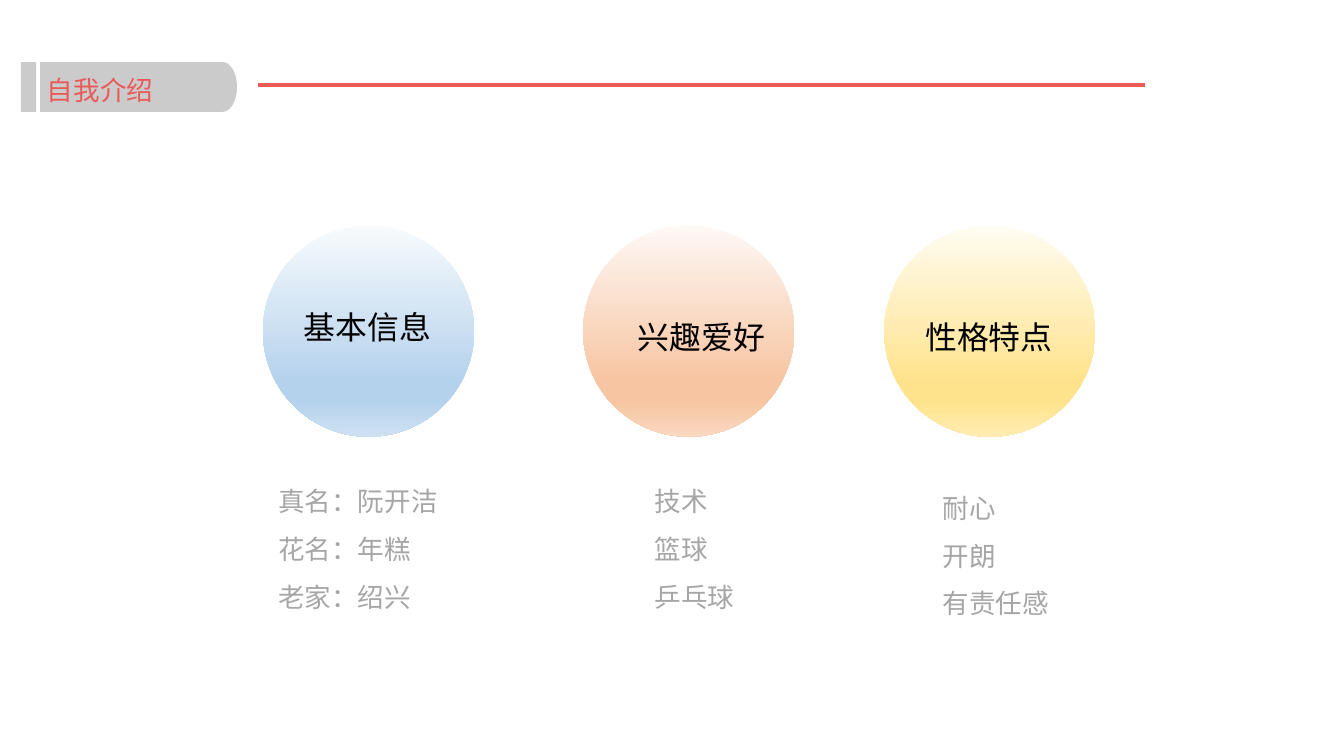
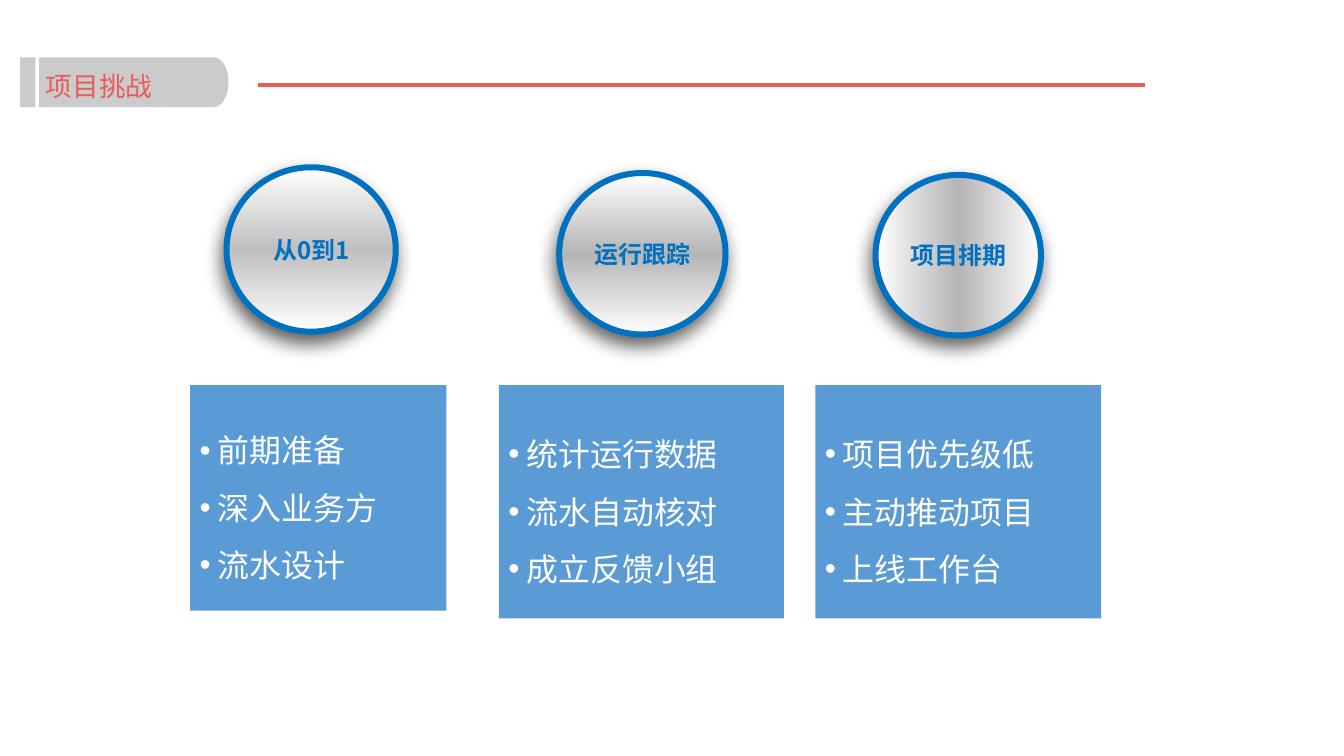
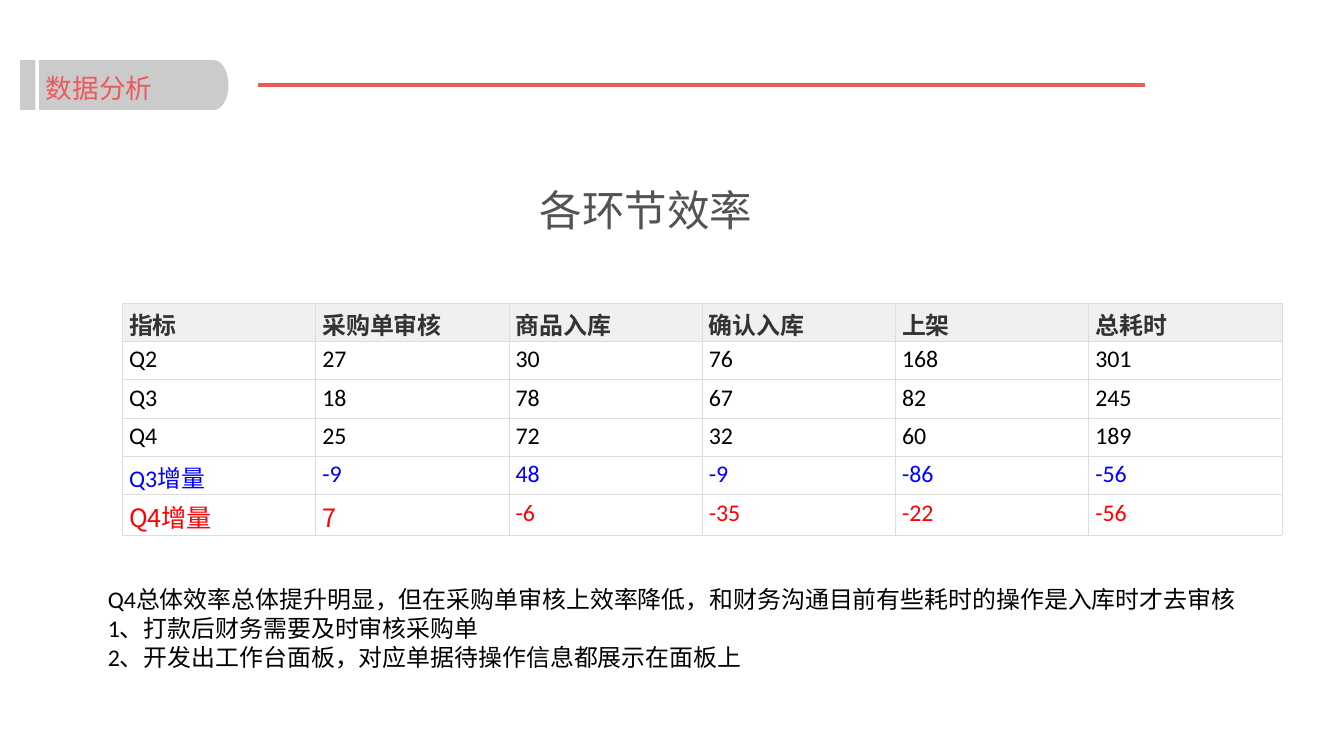
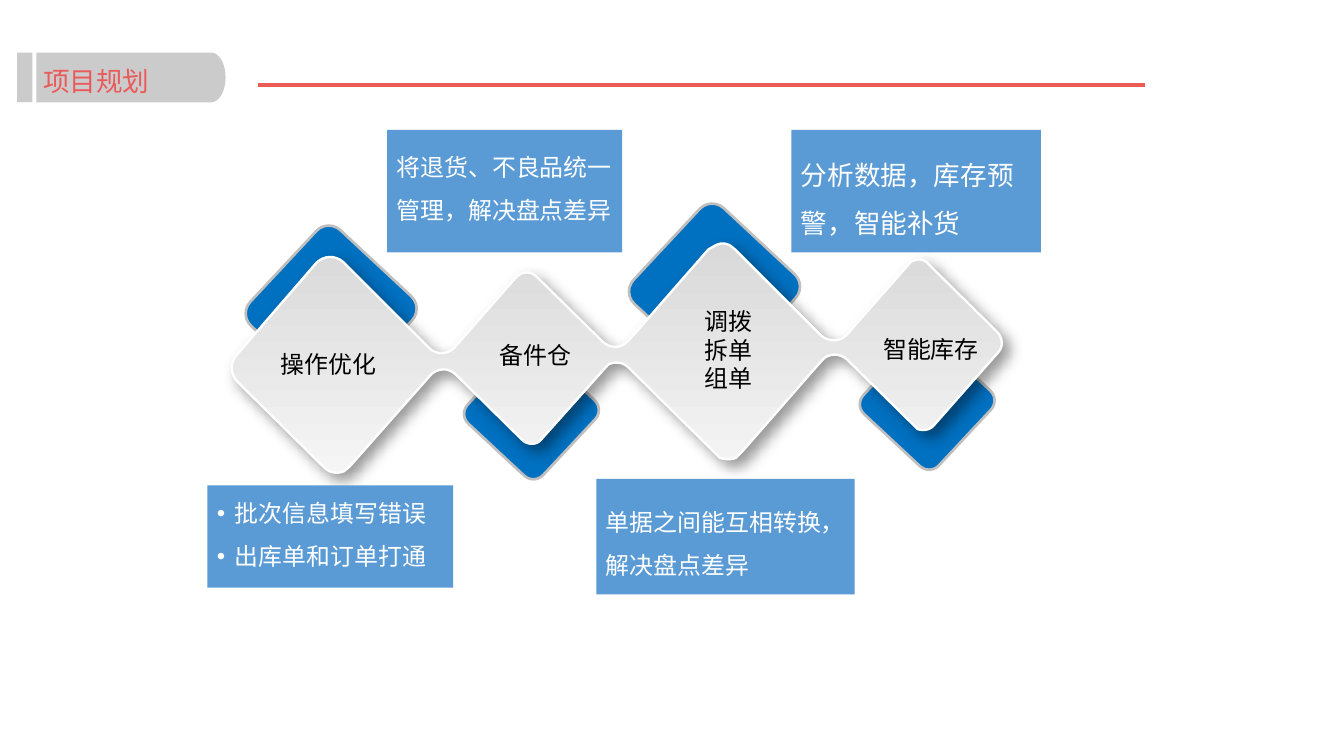
import math
from lxml import etree
from pptx import Presentation
from pptx import util as u
from pptx.dml.color import RGBColor
from pptx.enum import shapes, text
from pptx.oxml import ns

HUES = {
    "rule": "EC5C57", "title": "EB5A5A", "tag": "BFBFBF", "note": "A6A6A6",
    "black": "000000", "white": "FFFFFF", "blue": "0070C0", "panel": "5B9BD5",
    "head": "333333", "shade": "F0F0F0", "grid": "DDDDDD", "grey": "535353",
    "up": "0000FF", "down": "FF0000",
}
CJK, ARIAL, CALI = "Noto Sans CJK SC", "Arial", "Calibri"
LEFT, MID = text.PP_ALIGN.LEFT, text.PP_ALIGN.CENTER
OVAL, RECT = shapes.MSO_SHAPE.OVAL, shapes.MSO_SHAPE.RECTANGLE
ROUND = shapes.MSO_SHAPE.ROUNDED_RECTANGLE


def write(frame, lines, size, hue, font=CJK, bold=False, space=None, bullet=False, align=LEFT):
    """Fill a text frame with equally styled paragraphs."""
    frame.text = "\n".join(lines)
    for para in frame.paragraphs:
        para.alignment = align
        if space:
            para.line_spacing = space
        if bullet:
            props = para._p.get_or_add_pPr()
            props.set("marL", str(u.Inches(0.19)))
            props.set("indent", str(-u.Inches(0.19)))
            etree.SubElement(props, ns.qn("a:buFont")).set("typeface", ARIAL)
            etree.SubElement(props, ns.qn("a:buChar")).set("char", "•")
        for run in para.runs:
            run.font.size, run.font.bold, run.font.name = u.Pt(size), bold, font
            run.font.color.rgb = RGBColor.from_string(HUES[hue])
            etree.SubElement(run._r.rPr, ns.qn("a:ea")).set("typeface", CJK)


def paint(shape, fill, line=None, width=1, angle=90, shadow=None, alpha=None):
    """Set fill (a colour, or a list of gradient stops), line and shadow."""
    shape.shadow.inherit = False
    props = shape.element.spPr
    if isinstance(fill, str):
        shape.fill.solid()
        shape.fill.fore_color.rgb = RGBColor.from_string(fill)
        if alpha:
            colour = props.find(".//" + ns.qn("a:srgbClr"))
            etree.SubElement(colour, ns.qn("a:alpha")).set("val", str(alpha * 1000))
    else:
        shape.fill.gradient()
        shape.fill.gradient_angle = -angle % 360
        stops = props.find(".//" + ns.qn("a:gsLst"))
        for old in list(stops):
            stops.remove(old)
        for place, hue in fill:
            stop = etree.SubElement(stops, ns.qn("a:gs"), pos=str(place * 1000))
            etree.SubElement(stop, ns.qn("a:srgbClr"), val=hue)
    if line:
        shape.line.color.rgb = RGBColor.from_string(line)
        shape.line.width = u.Pt(width)
    else:
        shape.line.fill.background()
    if shadow:
        dark, blur, dist, turn = shadow
        cast = etree.SubElement(
            props.find(ns.qn("a:effectLst")), ns.qn("a:outerShdw"), blurRad=str(u.Pt(blur)),
            dist=str(u.Pt(dist)), dir=str(turn * 60000), algn="ctr", rotWithShape="0")
        tint = etree.SubElement(cast, ns.qn("a:srgbClr"), val=HUES["black"])
        etree.SubElement(tint, ns.qn("a:alpha"), val=str(dark * 1000))


deck = Presentation()
deck.slide_width, deck.slide_height = u.Inches(14.06), u.Inches(7.91)
plain = deck.slide_layouts[5]

# Shared header: title, bar, round-ended tag
pages = []
for name, x, y, span in [("自我介绍", 0.22, 0.65, 2.06), ("项目挑战", 0.21, 0.6, 1.98),
                         ("数据分析", 0.21, 0.63, 1.98), ("项目规划", 0.18, 0.55, 1.98)]:
    page = deck.slides.add_slide(plain)
    pages.append(page)
    title = page.shapes.title
    bar = page.shapes.add_shape(RECT, *map(u.Inches, (x, y, 0.16, 0.52)))
    start, bend = x + 0.2, x + 0.2 + span - 0.15
    curve = [(bend + 0.15 * math.sin(math.radians(d)), y + 0.26 - 0.26 * math.cos(math.radians(d)))
             for d in range(0, 181, 10)]
    dots = [(1000 * a, 1000 * b) for a, b in [(start, y), *curve, (start, y + 0.52)]]
    pen = page.shapes.build_freeform(*dots[0], scale=u.Inches(1) / 1000)
    pen.add_line_segments(dots[1:])
    tag = pen.convert_to_shape()
    for part in (bar, tag):
        paint(part, HUES["tag"], alpha=80)
    page.shapes.element.append(title.element)
    title.left, title.top, title.width, title.height = map(u.Inches, (start, y + 0.02, 1.57, 0.48))
    frame = title.text_frame
    frame.auto_size, frame.vertical_anchor = text.MSO_AUTO_SIZE.NONE, text.MSO_ANCHOR.TOP
    frame.margin_left = frame.margin_right = u.Inches(0.07)
    frame.margin_top = frame.margin_bottom = u.Inches(0.04)
    write(frame, [name], 20, "title", ARIAL, space=1.2)

# Red rule, kept on the layout
rule = pages[0].shapes.add_connector(
    shapes.MSO_CONNECTOR.STRAIGHT, *map(u.Inches, (2.7, 0.89, 11.98, 0.89)))
rule.line.color.rgb = RGBColor.from_string(HUES["rule"])
rule.line.width = u.Pt(3)
etree.SubElement(rule.element.spPr, ns.qn("a:effectLst"))
plain.shapes.element.append(rule.element)

intro, tasks, data, plan = pages

# Slide 1: three discs with a heading and a list each
for x, tints, head, hx, hy, lines, lx, ly, wide in [
    (2.75, ("F7FAFD", "B5D2EC", "CEE1F2"), "基本信息", 3.08, 3.17,
     ["真名：阮开洁", "花名：年糕", "老家：绍兴"], 2.8, 4.86, 2.96),
    (6.1, ("FEF8F5", "F7C5A2", "FAD8C1"), "兴趣爱好", 6.57, 3.27,
     ["技术", "篮球", "乒乓球"], 6.74, 4.86, 1.58),
    (9.25, ("FFFCF2", "FFE38C", "FFECB2"), "性格特点", 9.58, 3.27,
     ["耐心", "开朗", "有责任感"], 9.75, 4.93, 1.5),
]:
    disc = intro.shapes.add_shape(OVAL, *map(u.Inches, (x, 2.36, 2.21, 2.21)))
    pale, deep, soft = tints
    paint(disc, [(0, pale), (74, deep), (83, deep), (100, soft)])
    label = intro.shapes.add_textbox(*map(u.Inches, (hx, hy, 1.55, 0.5)))
    label.text_frame.word_wrap = False
    write(label.text_frame, [head], 24, "black")
    notes = intro.shapes.add_textbox(*map(u.Inches, (lx, ly, wide, 1.62)))
    notes.text_frame.word_wrap = True
    notes.text_frame.margin_left = notes.text_frame.margin_right = u.Inches(0.11)
    write(notes.text_frame, lines, 20, "note", ARIAL, space=1.5)

# Slide 2: ringed discs over bullet panels
for at, grey, angle, head, box, lines in [
    ((2.37, 1.75, 1.77, 1.72), "BFBFBF", 90, "从0到1", (1.99, 4.03, 2.68, 2.36),
     ["前期准备", "深入业务方", "流水设计"]),
    ((5.85, 1.81, 1.74, 1.69), "B5B5B5", 90, "运行跟踪", (5.22, 4.03, 2.98, 2.44),
     ["统计运行数据", "流水自动核对", "成立反馈小组"]),
    ((9.16, 1.83, 1.73, 1.68), "B5B5B5", 0, "项目排期", (8.53, 4.03, 2.99, 2.44),
     ["项目优先级低", "主动推动项目", "上线工作台"]),
]:
    disc = tasks.shapes.add_shape(OVAL, *map(u.Inches, at))
    paint(disc, [(0, HUES["white"]), (50, grey), (100, HUES["white"])], HUES["blue"], 4.5,
          angle, (61, 14, 7, 106))
    write(disc.text_frame, [head], 18, "blue", bold=True, align=MID)
    panel = tasks.shapes.add_shape(RECT, *map(u.Inches, box))
    paint(panel, HUES["panel"])
    write(panel.text_frame, lines, 24, "white", space=1.5, bullet=True)

# Slide 3: table with heading and findings
rows = [
    ["指标", "采购单审核", "商品入库", "确认入库", "上架", "总耗时"],
    ["Q2", "27", "30", "76", "168", "301"],
    ["Q3", "18", "78", "67", "82", "245"],
    ["Q4", "25", "72", "32", "60", "189"],
    ["Q3增量", "-9", "48", "-9", "-86", "-56"],
    ["Q4增量", "7", "-6", "-35", "-22", "-56"],
]
inks = ["head", "black", "black", "black", "up", "down"]
table = data.shapes.add_table(6, 6, *map(u.Inches, (1.28, 3.17, 12.13, 2.4))).table
table.first_row = table.horz_banding = False
for r, row in enumerate(rows):
    table.rows[r].height = u.Inches(0.4)
    for c, word in enumerate(row):
        cell = table.cell(r, c)
        cell.margin_left = cell.margin_right = u.Inches(0.07)
        cell.margin_top, cell.margin_bottom = u.Inches(0.04), 0
        large = r == 5 and c < 2
        write(cell.text_frame, [word], 19 if large else 18, inks[r], CJK if large else CALI,
              bold=r == 0)
        for side in ("lnL", "lnR", "lnT", "lnB"):
            edge = etree.SubElement(cell._tc.get_or_add_tcPr(), ns.qn("a:" + side),
                                    w=str(u.Pt(0.5)))
            solid = etree.SubElement(edge, ns.qn("a:solidFill"))
            etree.SubElement(solid, ns.qn("a:srgbClr"), val=HUES["grid"])
        if r == 0:
            cell.fill.solid()
            cell.fill.fore_color.rgb = RGBColor.from_string(HUES["shade"])
        else:
            cell.fill.background()

for at, lines, size, hue, font in [
    ((5.55, 1.88, 2.45, 0.64), ["各环节效率"], 32, "grey", CJK),
    ((1.03, 6.07, 12.11, 1.01),
     ["Q4总体效率总体提升明显，但在采购单审核上效率降低，和财务沟通目前有些耗时的操作是入库时才去审核",
      "1、打款后财务需要及时审核采购单",
      "2、开发出工作台面板，对应单据待操作信息都展示在面板上"], 18, "black", CALI),
]:
    box = data.shapes.add_textbox(*map(u.Inches, at))
    box.text_frame.word_wrap = False
    write(box.text_frame, lines, size, hue, font)

# Slide 4: blue diamonds behind the chain
for x, y, side in [(2.78, 2.57, 1.37), (5.02, 3.77, 1.08), (9.16, 3.67, 1.08), (6.79, 2.34, 1.37)]:
    gem = plan.shapes.add_shape(ROUND, *map(u.Inches, (x, y, side, side)))
    gem.adjustments[0], gem.rotation = 0.13, 43
    paint(gem, HUES["blue"], HUES["tag"], 2)

# Chain outline: pairs are corners, sixes are Bezier curves
chain = [
    (9.71, 2.76), (10.43, 3.47), (10.49, 3.53, 10.5, 3.63, 10.44, 3.69), (9.77, 4.45),
    (9.73, 4.5, 9.66, 4.51, 9.6, 4.49), (8.87, 3.77), (8.79, 3.69, 8.67, 3.69, 8.6, 3.77),
    (7.76, 4.73), (7.7, 4.79), (7.65, 4.81, 7.59, 4.81, 7.53, 4.79), (7.48, 4.74),
    (6.58, 3.85), (6.52, 3.79, 6.44, 3.78, 6.37, 3.81), (6.34, 3.84), (5.67, 4.59),
    (5.62, 4.66, 5.52, 4.66, 5.46, 4.6), (4.77, 3.92), (4.69, 3.84, 4.57, 3.85, 4.5, 3.93),
    (3.66, 4.88), (3.6, 4.93), (3.53, 4.96, 3.45, 4.95, 3.39, 4.89), (2.49, 4),
    (2.41, 3.92, 2.4, 3.79, 2.48, 3.71), (3.31, 2.75), (3.39, 2.67, 3.51, 2.67, 3.59, 2.74),
    (4.49, 3.64), (4.57, 3.72, 4.69, 3.71, 4.76, 3.63), (5.4, 2.9),
    (5.46, 2.84, 5.55, 2.83, 5.62, 2.9), (6.3, 3.57), (6.38, 3.65, 6.5, 3.65, 6.58, 3.56),
    (7.41, 2.61), (7.48, 2.57), (7.53, 2.54, 7.59, 2.54, 7.64, 2.57), (7.69, 2.61),
    (8.59, 3.51), (8.67, 3.58, 8.79, 3.58, 8.86, 3.5), (9.53, 2.74),
    (9.6, 2.7, 9.67, 2.71, 9.71, 2.76),
]
dots = []
for step in chain:
    if len(step) == 2:
        dots.append(step)
        continue
    knots = [dots[-1], step[:2], step[2:4], step[4:]]
    for t in (k / 8 for k in range(1, 9)):
        mix = [math.comb(3, i) * t ** i * (1 - t) ** (3 - i) for i in range(4)]
        dots.append(tuple(sum(m * k[axis] for m, k in zip(mix, knots)) for axis in (0, 1)))
dots = [(1000 * a, 1000 * b) for a, b in dots]
pen = plan.shapes.build_freeform(*dots[0], scale=u.Inches(1) / 1000)
pen.add_line_segments(dots[1:])
paint(pen.convert_to_shape(), [(0, "D9D9D9"), (100, "F5F5F5")], HUES["white"], 1.75,
      shadow=(40, 11, 6, 45))

# Stage names
for at, lines in [
    ((2.84, 3.61, 1.21, 0.4), ["操作优化"]), ((5.13, 3.51, 0.96, 0.4), ["备件仓"]),
    ((7.27, 3.16, 0.71, 1.01), ["调拨", "拆单", "组单"]), ((9.14, 3.45, 1.21, 0.4), ["智能库存"]),
]:
    box = plan.shapes.add_textbox(*map(u.Inches, at))
    box.text_frame.word_wrap = False
    write(box.text_frame, lines, 18, "black", CALI)

# Stage details; raised text sits above the middle of its panel
for at, lines, size, bullet, raised in [
    ((2.17, 5.08, 2.57, 1.07), ["批次信息填写错误", "出库单和订单打通"], 18, True, True),
    ((4.05, 1.36, 2.46, 1.28), ["将退货、不良品统一管理，解决盘点差异"], 18, False, True),
    ((6.24, 5.01, 2.7, 1.21), ["单据之间能互相转换，", "解决盘点差异"], 18, False, False),
    ((8.28, 1.36, 2.61, 1.28), ["分析数据，库存预警，智能补货"], 20, False, False),
]:
    panel = plan.shapes.add_shape(RECT, *map(u.Inches, at))
    paint(panel, HUES["panel"])
    if raised:
        panel.text_frame.margin_top, panel.text_frame.margin_bottom = 0, u.Inches(0.2)
    write(panel.text_frame, lines, size, "white", space=1.5, bullet=bullet)

deck.save("out.pptx")
